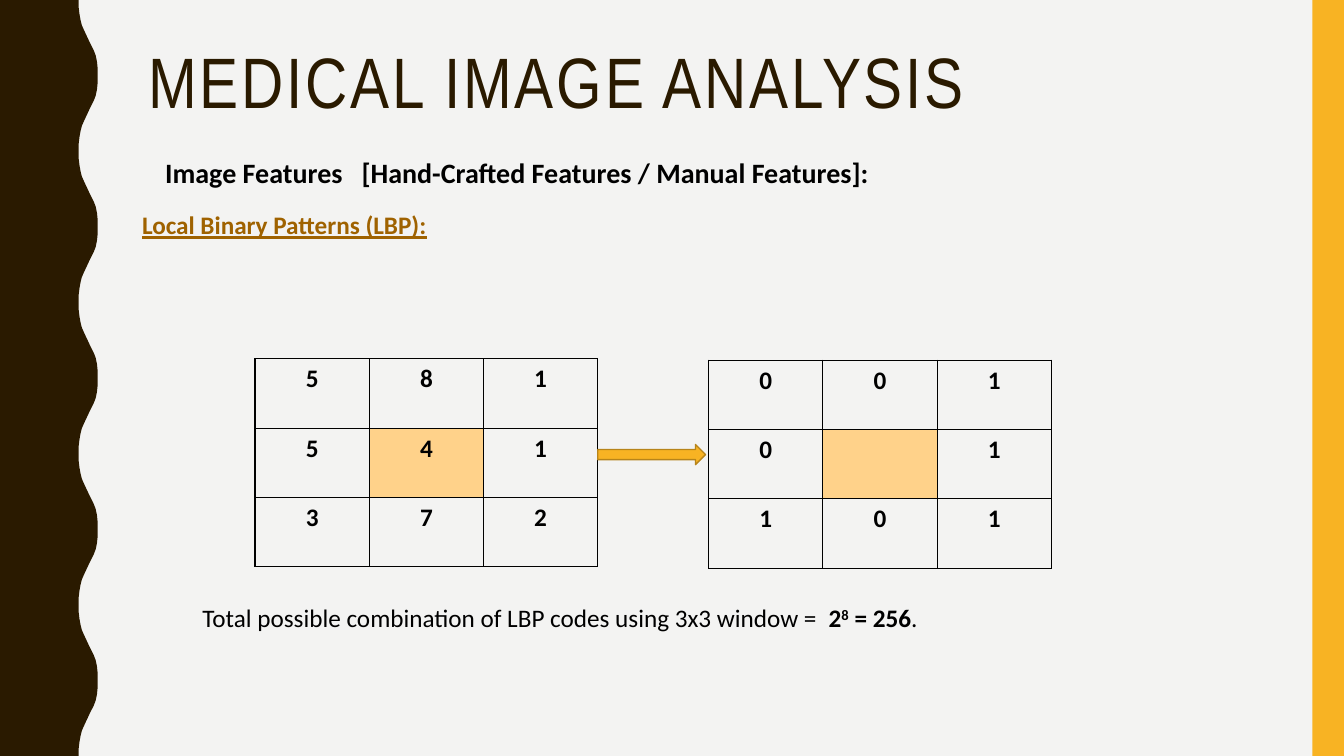
import pptx
import pptx.util
import pptx.dml.color
import pptx.enum.shapes
import pptx.enum.text
import pptx.oxml
import pptx.oxml.ns
import lxml.etree

Pt = pptx.util.Pt
SHAPES = pptx.enum.shapes.MSO_SHAPE
TEXT = pptx.enum.text

COLOURS = {
    "background": "F3F3F2",
    "brown": "2A1A00",
    "amber": "F8B323",
    "arrow_edge": "B7841A",
    "centre": "FFD28A",
    "subheading": "9F6200",
    "black": "000000",
}

HALF_WAVE = [
    (56.2, 0), (56.2, 5), (56.8, 10), (57.6, 14.4), (58.5, 18),
    (59.8, 21), (61.2, 24), (62.6, 27), (64, 30), (65.5, 33),
    (67, 36), (68.4, 39.6), (69.3, 44), (69.8, 49), (69.8, 54),
]
WAVE_PERIOD = 108
WAVE_COUNT = 5

INTENSITIES = [["5", "8", "1"], ["5", "4", "1"], ["3", "7", "2"]]
BINARY_CODES = [["0", "0", "1"], ["0", "", "1"], ["1", "0", "1"]]


def colour(name):
    return pptx.dml.color.RGBColor.from_string(COLOURS[name])


def paint(shape, fill, edge=None):
    shape.shadow.inherit = False
    shape.fill.solid()
    shape.fill.fore_color.rgb = colour(fill)
    if edge:
        shape.line.color.rgb = colour(edge)
        shape.line.width = Pt(1)
    else:
        shape.line.fill.background()


def style_run(run, size, name="black", bold=False, face="Calibri"):
    run.font.name = face
    run.font.size = Pt(size)
    run.font.bold = bold
    run.font.color.rgb = colour(name)


def add_wave_band(slide, left, top):
    mirrored = [(x, WAVE_PERIOD - y) for x, y in reversed(HALF_WAVE[:-1])]
    edge = [(x, y + wave * WAVE_PERIOD)
            for wave in range(WAVE_COUNT) for x, y in HALF_WAVE + mirrored]
    outline = edge + [(0, WAVE_PERIOD * WAVE_COUNT)]
    builder = slide.shapes.build_freeform(Pt(left), Pt(top))
    builder.add_line_segments([(Pt(left + x), Pt(top + y)) for x, y in outline])
    paint(builder.convert_to_shape(), "brown")


def add_side_bar(slide, left, top, width, height):
    bar = slide.shapes.add_shape(
        SHAPES.RECTANGLE, Pt(left), Pt(top), Pt(width), Pt(height))
    paint(bar, "amber")


def set_title(slide, left, top, width, height):
    title = slide.shapes.title
    title.left, title.top = Pt(left), Pt(top)
    title.width, title.height = Pt(width), Pt(height)
    frame = title.text_frame
    frame.text = "MEDICAL IMAGE ANALYSIS"
    frame.auto_size = TEXT.MSO_AUTO_SIZE.NONE
    frame.vertical_anchor = TEXT.MSO_ANCHOR.TOP
    paragraph = frame.paragraphs[0]
    paragraph.alignment = TEXT.PP_ALIGN.LEFT
    paragraph.line_spacing = 0.9
    run = paragraph.runs[0]
    style_run(run, 51, "brown", face="Arial Narrow")
    run.font._element.set("spc", "200")


def add_line_of_text(slide, left, top, width, height, text):
    box = slide.shapes.add_textbox(Pt(left), Pt(top), Pt(width), Pt(height))
    box.text_frame.word_wrap = True
    box.text_frame.text = text
    return box.text_frame.paragraphs[0]


def add_headings(slide, left, top):
    features = add_line_of_text(
        slide, left + 16.5, top, 632, 33,
        "Image Features   [Hand-Crafted Features / Manual Features]:")
    features.line_spacing = 1.07
    style_run(features.runs[0], 20, bold=True)
    method = add_line_of_text(
        slide, left, top + 40.3, 261, 51, "Local Binary Patterns (LBP):")
    style_run(method.runs[0], 18, "subheading", bold=True)
    method.runs[0].font.underline = True


def add_border(cell):
    properties = cell._tc.get_or_add_tcPr()
    for position, side in enumerate(("lnL", "lnR", "lnT", "lnB")):
        border = pptx.oxml.parse_xml(
            f'<a:{side} {pptx.oxml.ns.nsdecls("a")} w="12700"><a:solidFill>'
            f'<a:srgbClr val="{COLOURS["black"]}"/></a:solidFill></a:{side}>')
        properties.insert(position, border)


def add_window(slide, left, top, width, height, values):
    window = slide.shapes.add_table(
        3, 3, Pt(left), Pt(top), Pt(width), Pt(height)).table
    window.first_row = window.horz_banding = False
    for column in window.columns:
        column.width = Pt(width / 3)
    for row in window.rows:
        row.height = Pt(height / 3)
    for r, row_values in enumerate(values):
        for c, value in enumerate(row_values):
            cell = window.cell(r, c)
            if r == c == 1:
                cell.fill.solid()
                cell.fill.fore_color.rgb = colour("centre")
            else:
                cell.fill.background()
            add_border(cell)
            cell.text = value
            paragraph = cell.text_frame.paragraphs[0]
            paragraph.alignment = TEXT.PP_ALIGN.CENTER
            for run in paragraph.runs:
                style_run(run, 18, bold=True)


def add_thresholding(slide, left, top):
    width, height = 244.8, 148.6
    add_window(slide, left, top, width, height, INTENSITIES)
    add_window(slide, left + 324, top + 1, width, height, BINARY_CODES)
    arrow = slide.shapes.add_shape(
        SHAPES.RIGHT_ARROW, Pt(left + width), Pt(top + 61.2), Pt(77), Pt(14.4))
    paint(arrow, "amber", "arrow_edge")


def add_conclusion(slide, left, top, width, height):
    conclusion = add_line_of_text(
        slide, left, top, width, height,
        "Total possible combination of LBP codes using 3x3 window =  ")
    for part in ("2", "8", " = 256", "."):
        conclusion.add_run().text = part
    for run in conclusion.runs:
        style_run(run, 18)
    for run in conclusion.runs[1:4]:
        run.font.bold = True
    conclusion.runs[2].font._element.set("baseline", "30000")


def main():
    deck = pptx.Presentation()
    deck.slide_width, deck.slide_height = Pt(960), Pt(540)
    slide = deck.slides.add_slide(deck.slide_layouts[5])
    slide.background.fill.solid()
    slide.background.fill.fore_color.rgb = colour("background")
    add_wave_band(slide, 0, 0)
    add_side_bar(slide, 937.5, 0, 22.5, 540)
    set_title(slide, 98.6, 30.2, 801.4, 117.4)
    add_headings(slide, 94.4, 105.9)
    add_thresholding(slide, 182.2, 256.3)
    add_conclusion(slide, 137.5, 427, 591, 29)
    deck.save("out.pptx")


if __name__ == "__main__":
    main()
